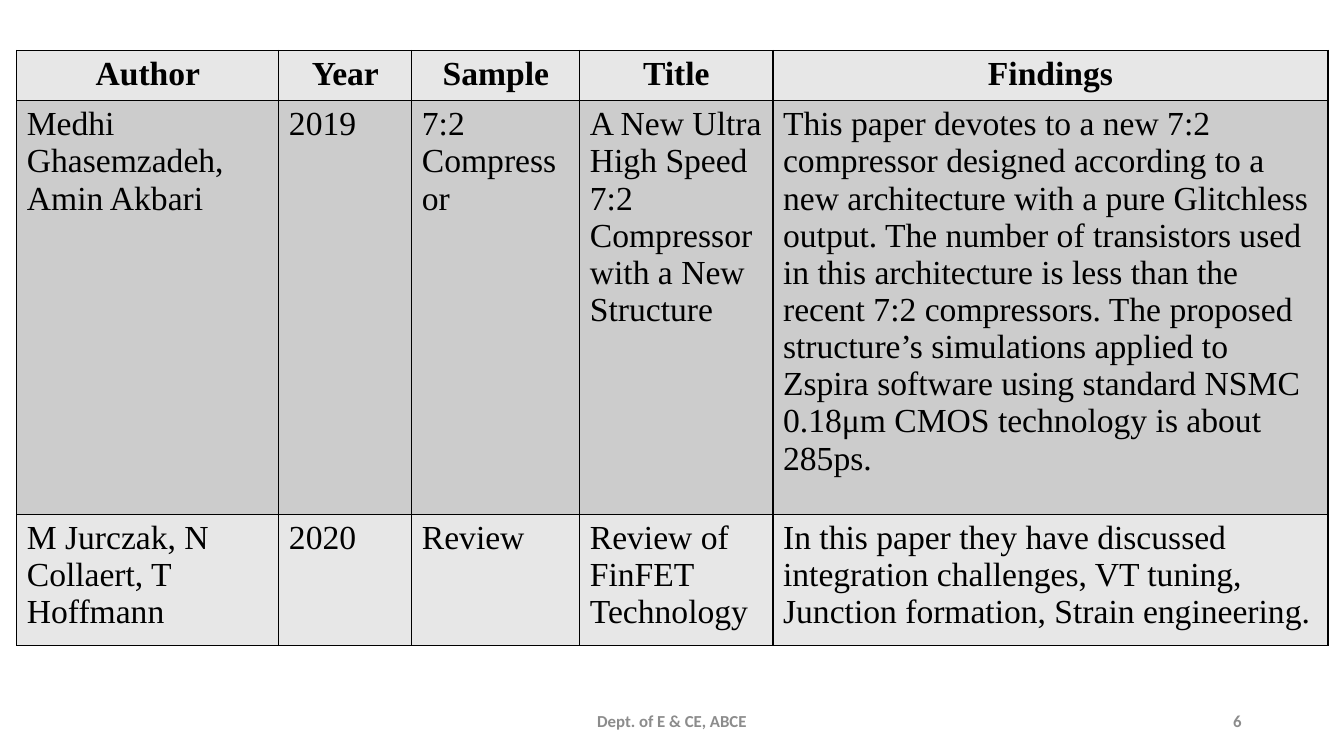
from lxml import etree
from pptx import Presentation
from pptx.dml.color import RGBColor
from pptx.enum.text import MSO_ANCHOR, PP_ALIGN
from pptx.oxml.ns import qn
from pptx.util import Pt

LEFT, CENTER, RIGHT = PP_ALIGN.LEFT, PP_ALIGN.CENTER, PP_ALIGN.RIGHT
MIDDLE = MSO_ANCHOR.MIDDLE

BLACK = RGBColor(0x00, 0x00, 0x00)
GRAY = RGBColor(0x8C, 0x8C, 0x8C)
LIGHT = RGBColor(0xE7, 0xE7, 0xE7)
DARK = RGBColor(0xCC, 0xCC, 0xCC)

COL_WIDTHS = [187.2, 95, 120, 138, 396.4]
ROW_HEIGHTS = [36, 295.5, 93.5]
PAPERS = [
    ["Author", "Year", "Sample", "Title", "Findings"],
    [
        "Medhi Ghasemzadeh, Amin Akbari",
        "2019",
        "7:2 Compressor",
        "A New Ultra High Speed 7:2 Compressor\nwith a New Structure",
        "This paper devotes to a new 7:2 compressor designed according to a new "
        "architecture with a pure Glitchless output. The number of transistors used "
        "in this architecture is less than the recent 7:2 compressors. The proposed "
        "structure’s simulations applied to Zspira software using standard NSMC "
        "0.18μm CMOS technology is about 285ps.",
    ],
    [
        "M Jurczak, N Collaert, T Hoffmann",
        "2020",
        "Review",
        "Review of FinFET Technology",
        "In this paper they have discussed integration challenges, VT tuning, "
        "Junction formation, Strain engineering.",
    ],
]


def write_text(tf, text, *, size, font, color, bold=False, align=LEFT):
    """Fill a text frame, one paragraph for each line of text."""
    tf.word_wrap = True
    for i, line in enumerate(text.split("\n")):
        p = tf.add_paragraph() if i else tf.paragraphs[0]
        p.alignment = align
        r = p.add_run()
        r.text = line
        r.font.size = Pt(size)
        r.font.name = font
        r.font.bold = bold
        r.font.color.rgb = color


def add_footer(s, text, left, width, align):
    tf = s.shapes.add_textbox(Pt(left), Pt(500.5), Pt(width), Pt(28.8)).text_frame
    tf.vertical_anchor = MIDDLE
    write_text(tf, text, size=12, font="Calibri", color=GRAY, bold=True, align=align)


def set_borders(cell, color, width):
    tc_pr = cell._tc.get_or_add_tcPr()
    for i, side in enumerate(("a:lnL", "a:lnR", "a:lnT", "a:lnB")):
        ln = etree.Element(qn(side), w=str(Pt(width)))
        fill = etree.SubElement(ln, qn("a:solidFill"))
        etree.SubElement(fill, qn("a:srgbClr"), val=str(color))
        tc_pr.insert(i, ln)


def add_paper_table(s, left, top):
    table = s.shapes.add_table(
        len(PAPERS), len(COL_WIDTHS), Pt(left), Pt(top),
        Pt(sum(COL_WIDTHS)), Pt(sum(ROW_HEIGHTS)),
    ).table
    for col, width in zip(table.columns, COL_WIDTHS):
        col.width = Pt(width)
    for row, height in zip(table.rows, ROW_HEIGHTS):
        row.height = Pt(height)
    for i, paper in enumerate(PAPERS):
        header = i == 0
        for j, text in enumerate(paper):
            cell = table.cell(i, j)
            cell.fill.solid()
            cell.fill.fore_color.rgb = DARK if i % 2 else LIGHT
            set_borders(cell, BLACK, 1)
            write_text(cell.text_frame, text, size=24, font="Times New Roman",
                       color=BLACK, bold=header, align=CENTER if header else LEFT)


def main():
    prs = Presentation()
    prs.slide_width, prs.slide_height = Pt(960), Pt(540)
    s = prs.slides.add_slide(prs.slide_layouts[6])
    add_footer(s, "Dept. of E & CE, ABCE", 318, 324, CENTER)
    add_footer(s, "6", 678, 216, RIGHT)
    add_paper_table(s, 12, 36)
    prs.save("out.pptx")


if __name__ == "__main__":
    main()
